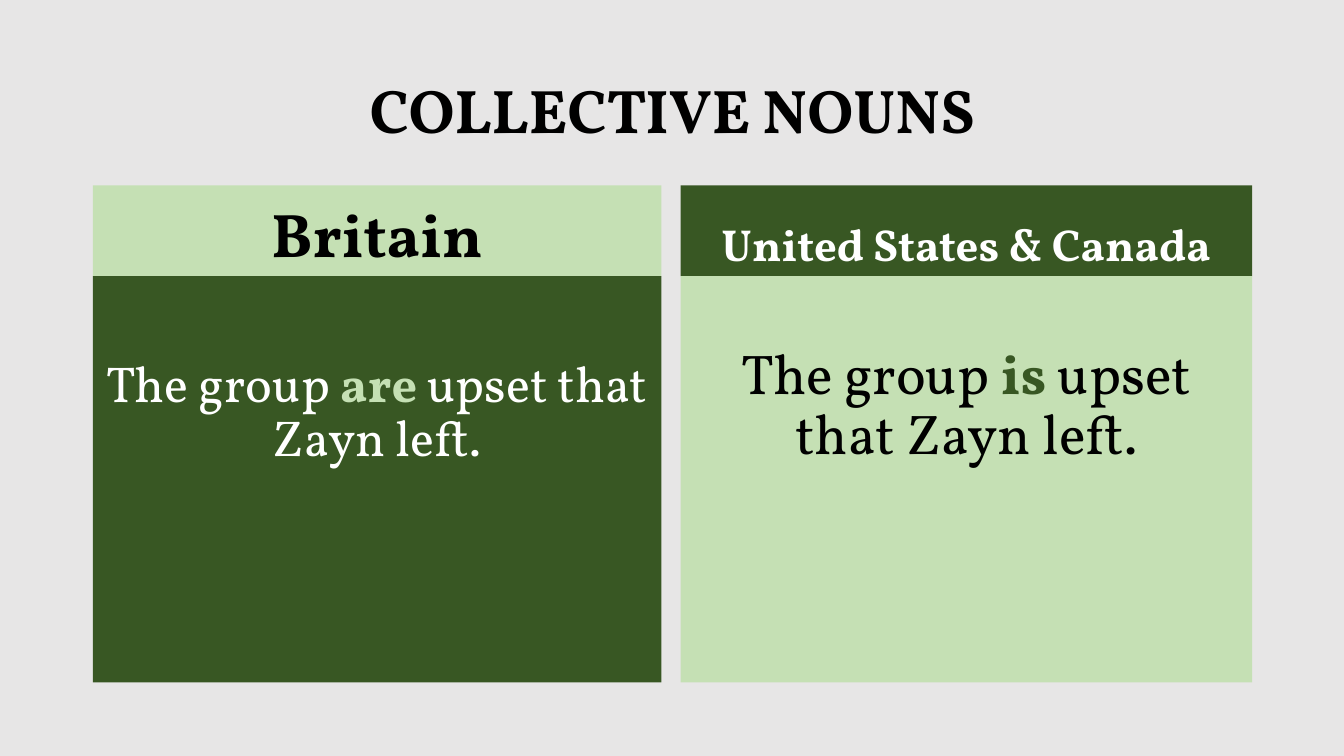
"""Build the collective nouns slide comparing British and North American usage."""
import pptx
import pptx.util
import pptx.dml.color
import pptx.enum.text
import pptx.oxml
from pptx.util import Inches, Pt

LIGHT, DARK, BLACK, WHITE = "C5E0B4", "385723", "000000", "FFFFFF"
MIDDLE = pptx.enum.text.MSO_ANCHOR.MIDDLE
BOTTOM = pptx.enum.text.MSO_ANCHOR.BOTTOM
TOP = pptx.enum.text.MSO_ANCHOR.TOP


def color(value):
    return pptx.dml.color.RGBColor.from_string(value)


def fill_placeholder(holder, box, pieces, size, ink, bold, anchor, fill=None, inset=0.05):
    holder.left, holder.top, holder.width, holder.height = map(Inches, box)
    if fill:
        holder.fill.solid()
        holder.fill.fore_color.rgb = color(fill)
    frame = holder.text_frame
    frame.word_wrap = True
    frame.auto_size = pptx.enum.text.MSO_AUTO_SIZE.NONE
    frame.vertical_anchor = anchor
    frame.margin_top = Inches(inset)
    paragraph = frame.paragraphs[0]
    paragraph.alignment = pptx.enum.text.PP_ALIGN.CENTER
    paragraph.line_spacing = 0.9
    paragraph.space_before = Pt(0)
    properties = paragraph._p.get_or_add_pPr()
    properties.set("marL", "0")
    properties.set("indent", "0")
    properties.append(pptx.oxml.parse_xml(
        '<a:buNone xmlns:a="http://schemas.openxmlformats.org/drawingml/2006/main"/>'))
    paragraph.font.name = "Vollkorn"
    paragraph.font.size = Pt(size)
    paragraph.font.bold = bold
    paragraph.font.color.rgb = color(ink)
    for text, accent in pieces:
        run = paragraph.add_run()
        run.text = text
        run.font.name = "Vollkorn"
        run.font.size = Pt(size)
        run.font.bold = bold or accent is not None
        run.font.color.rgb = color(accent or ink)


presentation = pptx.Presentation()
presentation.slide_width = Inches(13.33)
presentation.slide_height = Inches(7.5)
slide = presentation.slides.add_slide(presentation.slide_layouts[4])
slide.background.fill.solid()
slide.background.fill.fore_color.rgb = color("E7E6E6")

fill_placeholder(slide.shapes.title, (0.92, 0.4, 11.5, 1.45),
                 [("COLLECTIVE NOUNS", None)], 44, BLACK, True, MIDDLE)

columns = [
    (1, 0.92, 5.64, "Britain", 44, LIGHT, BLACK, "are", 36, DARK, WHITE, 0.82),
    (3, 6.75, 5.67, "United States & Canada", 32, DARK, WHITE, "is", 40, LIGHT, BLACK, 0.69),
]
for (index, left, width, region, region_size, header_fill, header_ink,
     verb, example_size, example_fill, example_ink, inset) in columns:
    fill_placeholder(slide.placeholders[index], (left, 1.84, width, 0.9),
                     [(region, None)], region_size, header_ink, True, BOTTOM, header_fill)
    example = [("The group ", None), (verb, header_fill), (" upset that Zayn left.", None)]
    fill_placeholder(slide.placeholders[index + 1], (left, 2.74, width, 4.03),
                     example, example_size, example_ink, False, TOP, example_fill, inset)

presentation.save("out.pptx")
